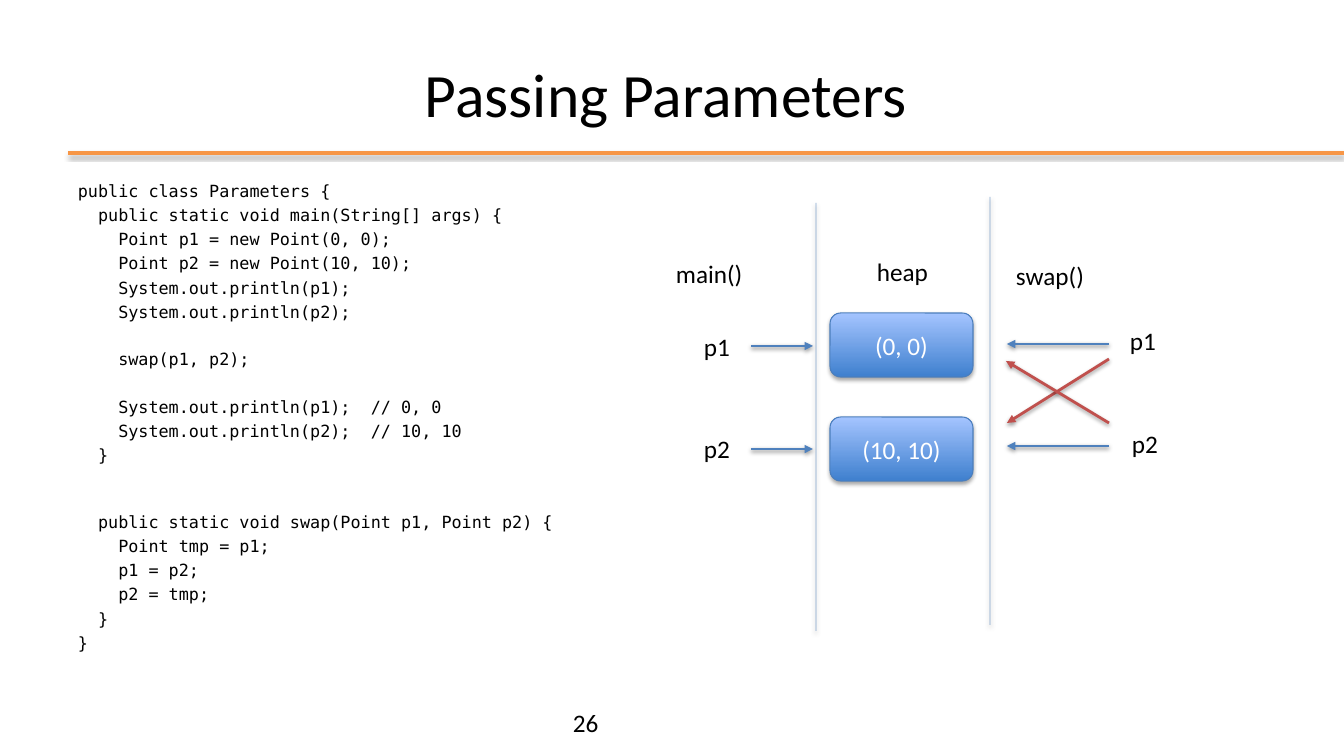
from pptx import Presentation
from pptx.dml.color import RGBColor
from pptx.enum.shapes import MSO_CONNECTOR, MSO_SHAPE
from pptx.enum.text import MSO_ANCHOR, PP_ALIGN
from pptx.oxml import parse_xml
from pptx.oxml.ns import nsdecls
from pptx.util import Emu, Pt

# Content: lengths in px
TITLE = "Passing Parameters "
CODE = """public class Parameters {
  public static void main(String[] args) {
    Point p1 = new Point(0, 0);
    Point p2 = new Point(10, 10);
    System.out.println(p1);
    System.out.println(p2);
    swap(p1, p2);
    System.out.println(p1);  // 0, 0
    System.out.println(p2);  // 10, 10
  }
  public static void swap(Point p1, Point p2) {
    Point tmp = p1;
    p1 = p2;
    p2 = tmp;
  }
}""".split("\n")
GAPS = {6: 19.6, 7: 19.6, 10: 33.6}  # wider space before these code lines, pt
LABELS = [  # text, left, top, width
    ("main()", 666, 253, 88), ("heap", 867, 251, 73), ("swap()", 1006, 255, 90),
    ("p1", 694, 326, 46), ("p2", 694, 428, 46),
    ("p1", 1120, 320, 46), ("p2", 1122, 423, 46),
]
POINTS = [("(0, 0)", 313), ("(10, 10)", 417)]  # text, top
BLUE, RED, ORANGE = "4F81BD", "C0504D", "F79646"
ARROWS = [  # from x, y, to x, y, colour
    (751, 346, 813, 346, BLUE), (751, 449, 813, 449, BLUE),
    (1109, 344, 1007, 344, BLUE), (1109, 446, 1007, 446, BLUE),
    (1109, 359, 1007, 423, RED), (1109, 423, 1006, 361, RED),
]
WALLS = [(816, 203), (990, 197)]  # x, top
WALL = 428

SCALE = 914400 / 100.8


def px(*vals):
    return [Emu(round(v * SCALE)) for v in vals]


def rgb(code):
    return RGBColor.from_string(code)


deck = Presentation()
deck.slide_width, deck.slide_height = px(1344, 756)
slide = deck.slides.add_slide(deck.slide_layouts[6])
shapes = slide.shapes


def write(shape, lines, size=18, font="Calibri", color="000000", align=PP_ALIGN.LEFT,
          anchor=MSO_ANCHOR.TOP, wrap=True, space=0, gaps={}):
    frame = shape.text_frame
    frame.word_wrap = wrap
    frame.vertical_anchor = anchor
    for i, line in enumerate(lines):
        para = frame.paragraphs[0] if i == 0 else frame.add_paragraph()
        para.alignment = align
        para.space_before = Pt(gaps.get(i, space))
        run = para.add_run()
        run.text = line
        run.font.size = Pt(size)
        run.font.name = font
        run.font.color.rgb = rgb(color)


def shade(shape, alpha=38, dist=1.6):
    shape._element.spPr.append(parse_xml(
        f'<a:effectLst {nsdecls("a")}><a:outerShdw blurRad="{Pt(3.1)}" dist="{Pt(dist)}" '
        f'dir="5400000" rotWithShape="0"><a:srgbClr val="000000">'
        f'<a:alpha val="{alpha * 1000}"/></a:srgbClr></a:outerShdw></a:effectLst>'))


def draw(ends, color, width, arrow=False, alpha=None, **shadow):
    line = shapes.add_connector(MSO_CONNECTOR.STRAIGHT, *px(*ends))
    line.line.color.rgb = rgb(color)
    line.line.width = Pt(width)
    ln = line.line._get_or_add_ln()
    if alpha:
        tint = ln.find(".//{*}srgbClr")
        tint.append(parse_xml(f'<a:alpha {nsdecls("a")} val="{alpha * 1000}"/>'))
    if arrow:
        ln.append(parse_xml(f'<a:tailEnd {nsdecls("a")} type="triangle"/>'))
    shade(line, **shadow)


# Title, rule, code and page number
draw((68, 153, 1344, 153), ORANGE, 3, alpha=None, dist=1.8)
write(shapes.add_textbox(*px(68, 30, 1210, 126)), [TITLE], size=44,
      align=PP_ALIGN.CENTER, anchor=MSO_ANCHOR.MIDDLE)
write(shapes.add_textbox(*px(68, 176, 594, 499)), CODE, size=12,
      font="DejaVu Sans Mono", space=2.8, gaps=GAPS)
write(shapes.add_textbox(*px(563, 702, 713, 40)), ["26"])

# Points on the heap
for text, top in POINTS:
    box = shapes.add_shape(MSO_SHAPE.ROUNDED_RECTANGLE, *px(830, top, 143, 64))
    box.fill.gradient()
    box.fill.gradient_angle = 90
    for stop, tone in zip(box.fill.gradient_stops, ("3F80CE", "A4C4FF")):
        stop.color.rgb = rgb(tone)
    box.line.color.rgb = rgb("4B7EBC")
    box.line.width = Pt(0.75)
    shade(box, alpha=35, dist=1.8)
    write(box, [text], color="FFFFFF", align=PP_ALIGN.CENTER, anchor=MSO_ANCHOR.MIDDLE)

# Labels, arrows and dividers
for text, left, top, width in LABELS:
    write(shapes.add_textbox(*px(left, top, width, 40)), [text], wrap=False)
for *ends, color in ARROWS:
    draw(ends, color, 2, arrow=True)
for x, top in WALLS:
    draw((x, top, x, top + WALL), BLUE, 1, alpha=37)

deck.save("out.pptx")
